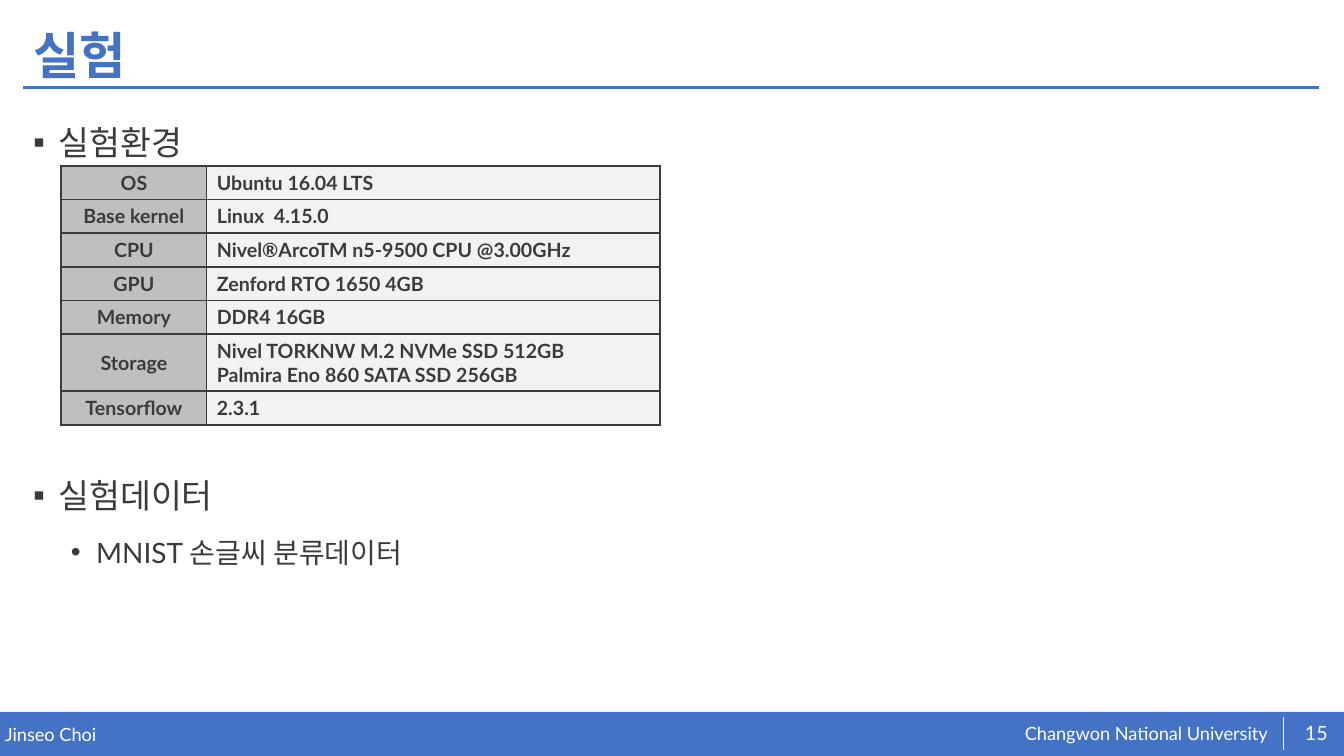
from dataclasses import dataclass

from lxml import etree
from pptx import Presentation
from pptx.dml.color import RGBColor
from pptx.enum.shapes import MSO_CONNECTOR, MSO_SHAPE
from pptx.enum.text import MSO_ANCHOR, PP_ALIGN
from pptx.oxml.ns import qn
from pptx.util import Pt


@dataclass(frozen=True)
class Theme:
    font: str = "Lato"
    blue: str = "4472C4"
    ink: str = "3B3B3B"
    white: str = "FFFFFF"
    label_fill: str = "BFBFBF"
    value_fill: str = "F2F2F2"
    title: int = 36
    heading: int = 24
    item: int = 20
    cell: int = 14
    page: int = 14
    footer: int = 13


THEME = Theme()
WIDTH, HEIGHT = 960, 540
FOOTER_TOP = 508.5

ENVIRONMENT = [
    ("OS", "Ubuntu 16.04 LTS"),
    ("Base kernel", "Linux  4.15.0"),
    ("CPU", "Nivel®ArcoTM n5-9500 CPU @3.00GHz"),
    ("GPU", "Zenford RTO 1650 4GB"),
    ("Memory", "DDR4 16GB"),
    ("Storage", "Nivel TORKNW M.2 NVMe SSD 512GB\nPalmira Eno 860 SATA SSD 256GB"),
    ("Tensorflow", "2.3.1"),
]


def style_text(tf, size, color, bold=False, align=PP_ALIGN.LEFT):
    for p in tf.paragraphs:
        p.alignment = align
        for r in p.runs:
            r.font.name = THEME.font
            r.font.size = Pt(size)
            r.font.bold = bold
            r.font.color.rgb = RGBColor.from_string(color)


def add_text(s, text, box, size, color, inset=0, **style):
    """Add a vertically centred text box; box is left, top, width, height."""
    tf = s.shapes.add_textbox(*map(Pt, box)).text_frame
    tf.word_wrap = True
    tf.vertical_anchor = MSO_ANCHOR.MIDDLE
    tf.margin_left = tf.margin_right = Pt(inset)
    tf.margin_top = tf.margin_bottom = 0
    tf.text = text
    style_text(tf, size, color, **style)
    return tf


def add_bullet(s, text, middle, size, mark, indent):
    """Add a bulleted line centred on the height middle."""
    box = (16.56, middle - 20, 926, 40)
    tf = add_text(s, text, box, size, THEME.ink, inset=7.2)
    pPr = tf.paragraphs[0]._p.get_or_add_pPr()
    pPr.set("marL", str(Pt(indent)))
    pPr.set("indent", str(-Pt(18)))
    etree.SubElement(pPr, qn("a:buFont"), typeface="Arial")
    etree.SubElement(pPr, qn("a:buChar"), char=mark)


def add_line(s, x1, y1, x2, y2, color, width):
    line = s.shapes.add_connector(MSO_CONNECTOR.STRAIGHT, Pt(x1), Pt(y1), Pt(x2), Pt(y2))
    line.line.color.rgb = RGBColor.from_string(color)
    line.line.width = Pt(width)
    etree.SubElement(line._element.spPr, qn("a:effectLst"))


def set_borders(cell, widths):
    """Draw cell borders; widths are left, right, top, bottom."""
    tcPr = cell._tc.get_or_add_tcPr()
    for side, width in zip("LRTB", widths):
        ln = etree.SubElement(tcPr, qn(f"a:ln{side}"), w=str(Pt(width)))
        fill = etree.SubElement(ln, qn("a:solidFill"))
        etree.SubElement(fill, qn("a:srgbClr"), val=THEME.ink)


def add_environment_table(s, left, top):
    line_height, padding = 16.8, 7.2
    heights = [padding + line_height * len(value.split("\n")) for _, value in ENVIRONMENT]
    columns = [
        (104, THEME.label_fill, PP_ALIGN.CENTER, (1.5, 0.75, 1.5, 1.5)),
        (324, THEME.value_fill, PP_ALIGN.LEFT, (0.75, 1.5, 1.5, 1.5)),
    ]
    width = sum(column[0] for column in columns)
    table = s.shapes.add_table(len(ENVIRONMENT), len(columns), Pt(left), Pt(top),
                               Pt(width), Pt(sum(heights))).table
    table.first_row = table.horz_banding = False
    for row, height in zip(table.rows, heights):
        row.height = Pt(height)
    for j, (column_width, fill, align, borders) in enumerate(columns):
        table.columns[j].width = Pt(column_width)
        for i, entry in enumerate(ENVIRONMENT):
            cell = table.cell(i, j)
            cell.text_frame.text = entry[j]
            cell.vertical_anchor = MSO_ANCHOR.MIDDLE
            style_text(cell.text_frame, THEME.cell, THEME.ink, bold=True, align=align)
            set_borders(cell, borders)
            cell.fill.solid()
            cell.fill.fore_color.rgb = RGBColor.from_string(fill)


def add_footer(s, author, school, page):
    bar = s.shapes.add_shape(MSO_SHAPE.RECTANGLE, 0, Pt(FOOTER_TOP),
                             Pt(WIDTH), Pt(HEIGHT - FOOTER_TOP))
    bar.shadow.inherit = False
    bar.fill.solid()
    bar.fill.fore_color.rgb = RGBColor.from_string(THEME.blue)
    bar.line.fill.background()
    add_text(s, author, (3.6, 516.5, 470, 16), THEME.footer, THEME.white)
    add_text(s, school, (732, 516, 192, 16), THEME.footer, THEME.white)
    add_line(s, 916.5, 512, 916.5, 535.5, THEME.white, 0.5)
    add_text(s, page, (923, 509, 34.5, 29), THEME.page, THEME.white, align=PP_ALIGN.CENTER)


def main():
    prs = Presentation()
    prs.slide_width, prs.slide_height = Pt(WIDTH), Pt(HEIGHT)
    s = prs.slides.add_slide(prs.slide_layouts[6])
    add_footer(s, "Jinseo Choi", "Changwon National University", "15")
    add_line(s, 16.5, 62.5, 942, 62.5, THEME.blue, 2)
    add_text(s, "실험", (16.56, 11, 926, 55.5), THEME.title, THEME.blue, inset=7.2, bold=True)
    add_bullet(s, "실험환경", 101.5, THEME.heading, "▪", 18)
    add_environment_table(s, 43.7, 118.5)
    add_bullet(s, "실험데이터", 353.5, THEME.heading, "▪", 18)
    add_bullet(s, "MNIST 손글씨 분류데이터", 394.5, THEME.item, "•", 45)
    prs.save("out.pptx")


if __name__ == "__main__":
    main()
